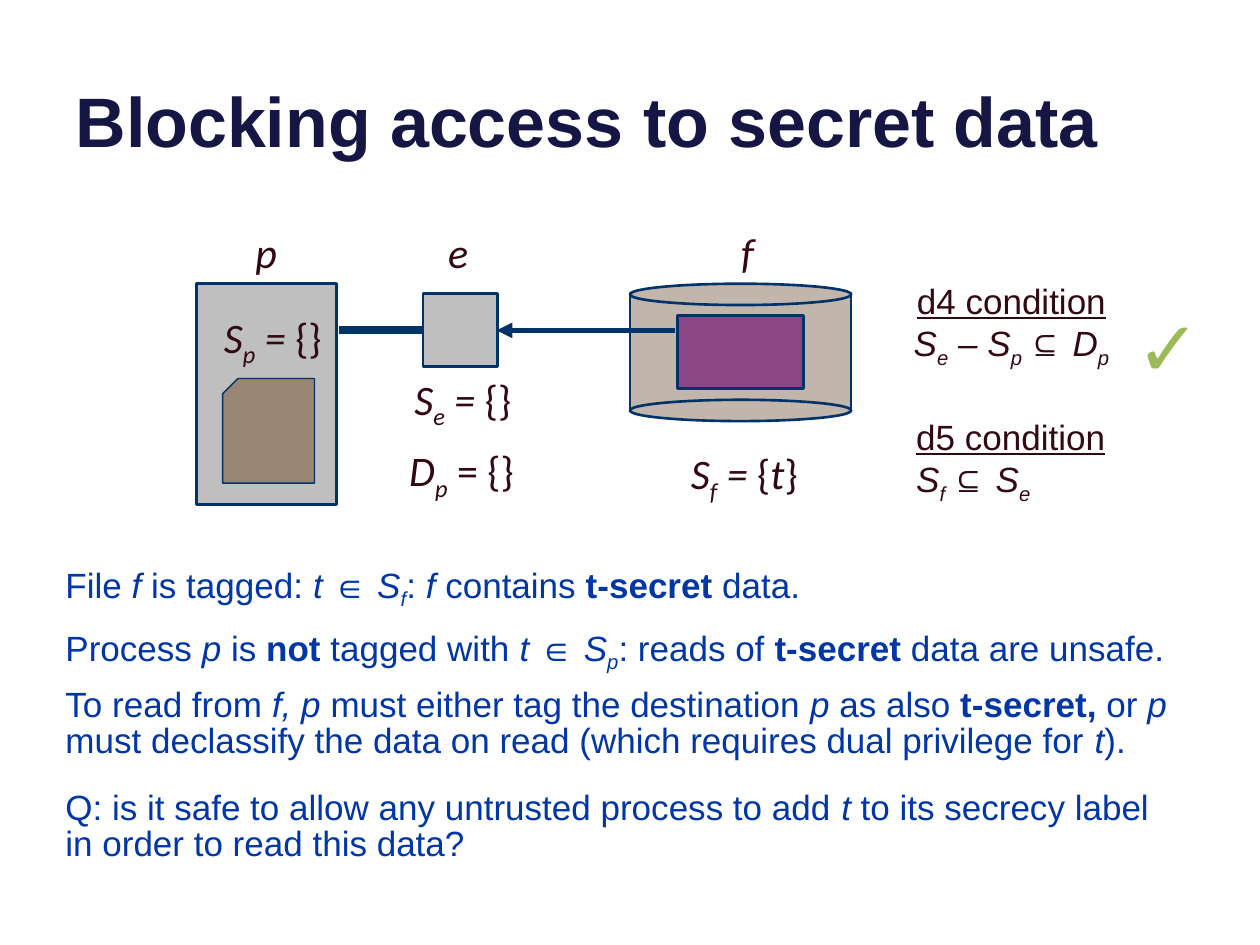
from lxml.etree import SubElement
from pptx import Presentation
from pptx.dml.color import RGBColor
from pptx.enum.shapes import MSO_CONNECTOR, MSO_SHAPE
from pptx.enum.text import MSO_ANCHOR, MSO_AUTO_SIZE, PP_ALIGN
from pptx.oxml.ns import qn
from pptx.util import Cm, Pt

TITLE_NAVY = RGBColor(0x16, 0x16, 0x45)
OUTLINE = RGBColor(0x00, 0x33, 0x67)
GREY = RGBColor(0xBF, 0xBF, 0xBF)
BROWN = RGBColor(0x99, 0x86, 0x74)
BEIGE = RGBColor(0xC2, 0xB6, 0xAC)
PURPLE = RGBColor(0x8B, 0x47, 0x85)
MAROON = RGBColor(0x32, 0x09, 0x11)
BLUE = RGBColor(0x00, 0x36, 0xA6)
GREEN = RGBColor(0x9B, 0xBB, 0x59)

LABEL_FORMAT = {"name": "Calibri", "size": Pt(24), "color": MAROON}
CONDITION_FORMAT = {"name": "Arial", "size": Pt(20), "color": MAROON}
NOTE_FORMAT = {"name": "Arial", "size": Pt(20), "color": BLUE}
CHECK_FORMAT = {"name": "Arial", "size": Pt(44), "color": GREEN}
TITLE_FORMAT = {"name": "Arial", "size": Pt(40), "color": TITLE_NAVY}

PROCESS_LABEL = [("S", "i"), ("p", "is"), (" = ", "i"), ("{}", "")]
ENDPOINT_LABEL = [("S", "i"), ("e", "is"), (" = ", "i"), ("{}", "")]
PRIVILEGE_LABEL = [("D", "i"), ("p", "is"), (" = {}", "")]
FILE_LABEL = [("S", "i"), ("f", "is"), (" = ", "i"), ("{", ""), ("t", "i"), ("}", "")]

D4_CONDITION = [
    [("d4 condition", "u")],
    [("S", "i"), ("e", "is"), (" – S", "i"), ("p ", "is"), ("⊆ ", ""), ("D", "i"), ("p", "is")],
]
D5_CONDITION = [
    [("d5 condition", "u")],
    [("S", "i"), ("f ", "is"), ("⊆", ""), (" S", "i"), ("e", "is")],
]

NOTES = [
    (0, 1.02, [("File ", ""), ("f ", "i"), ("is tagged: ", ""), ("t ∈ S", "i"), ("f", "is"),
               (": ", ""), ("f", "i"), (" contains ", ""), ("t-secret", "b"), (" data.", "")]),
    (1.27, 1.02, [("Process ", ""), ("p", "i"), (" is ", ""), ("not", "b"), (" tagged with ", ""),
                  ("t ∈ S", "i"), ("p", "is"), (": reads of ", ""), ("t-secret ", "b"),
                  ("data are unsafe.", "")]),
    (2.49, 1.73, [("To read from ", ""), ("f, p ", "i"),
                  ("must either tag the destination ", ""), ("p ", "i"), ("as also ", ""),
                  ("t-secret, ", "b"), ("or ", ""), ("p", "i"),
                  (" must declassify the data on read (which requires dual privilege for ", ""),
                  ("t", "i"), (").", "")]),
    (4.57, 1.73, [("Q: is it safe to allow any untrusted process to add ", ""), ("t", "i"),
                  (" to its secrecy label in order to read this data?", "")]),
]


def format_font(font, values):
    """Apply a dict of format values to a font."""
    for name, value in values.items():
        if name == "color":
            font.color.rgb = value
        else:
            setattr(font, name, value)


def add_runs(paragraph, runs, values):
    """Write runs whose style letters mean bold, italic, underline and subscript."""
    for text, style in runs:
        run = paragraph.add_run()
        run.text = text
        format_font(run.font, values)
        for letter, name in {"b": "bold", "i": "italic", "u": "underline"}.items():
            if letter in style:
                setattr(run.font, name, True)
        if "s" in style:
            run.font._element.set("baseline", "-25000")


def add_text(slide, box, paragraphs, values, wrap=True, **paragraph_format):
    """Place a text box holding the given paragraphs of runs."""
    frame = slide.shapes.add_textbox(*map(Cm, box)).text_frame
    frame.word_wrap = wrap
    frame.auto_size = MSO_AUTO_SIZE.SHAPE_TO_FIT_TEXT
    for index, runs in enumerate(paragraphs):
        paragraph = frame.add_paragraph() if index else frame.paragraphs[0]
        for name, value in paragraph_format.items():
            setattr(paragraph, name, value)
        add_runs(paragraph, runs, values)


def add_block(slide, kind, box, fill, line_width=1.5):
    """Place a filled, outlined preset shape."""
    shape = slide.shapes.add_shape(kind, *map(Cm, box))
    shape.shadow.inherit = False
    shape.fill.solid()
    shape.fill.fore_color.rgb = fill
    shape.line.color.rgb = OUTLINE
    shape.line.width = Pt(line_width)
    return shape


def add_link(slide, start, end, width, arrow=False):
    """Place a straight connector, with an optional arrowhead at its start."""
    link = slide.shapes.add_connector(MSO_CONNECTOR.STRAIGHT, *map(Cm, (*start, *end)))
    link.line.color.rgb = OUTLINE
    link.line.width = Pt(width)
    if arrow:
        SubElement(link.line._get_or_add_ln(), qn("a:headEnd"), type="triangle")
    SubElement(link._element.spPr, qn("a:effectLst"))


def build_title(slide, box):
    """Move and format the title placeholder."""
    title = slide.shapes.title
    title.left, title.top, title.width, title.height = map(Cm, box)
    title.text_frame.vertical_anchor = MSO_ANCHOR.BOTTOM
    paragraph = title.text_frame.paragraphs[0]
    paragraph.alignment = PP_ALIGN.LEFT
    add_runs(paragraph, [("Blocking access to secret data", "b")], TITLE_FORMAT)


def build_diagram(slide, box):
    """Draw the process, its endpoint and the tagged file."""
    left, top = box[:2]
    link_y = top + 2.21

    def place(x, y, width, height):
        return left + x, top + y, width, height

    add_block(slide, MSO_SHAPE.RECTANGLE, place(0, 1.27, 2.82, 4.45), GREY)
    code = add_block(slide, MSO_SHAPE.SNIP_1_RECTANGLE, place(0.53, 3.18, 1.85, 2.11), BROWN, 0.75)
    code._element.spPr.find(qn("a:xfrm")).set("flipH", "1")

    add_block(slide, MSO_SHAPE.RECTANGLE, place(8.74, 1.47, 4.46, 2.34), BEIGE)
    for rim_y in (1.27, 3.61):
        add_block(slide, MSO_SHAPE.OVAL, place(8.74, rim_y, 4.46, 0.43), BEIGE)
    add_block(slide, MSO_SHAPE.RECTANGLE, place(9.7, 1.91, 2.54, 1.47), PURPLE)

    add_link(slide, (left + 4.57, link_y), (left + 2.87, link_y), 4.5)
    add_block(slide, MSO_SHAPE.RECTANGLE, place(4.57, 1.47, 1.5, 1.47), GREY)
    add_link(slide, (left + 6.05, link_y), (left + 9.65, link_y), 3, arrow=True)

    labels = [
        (0.91, 0, 0.99, [("p", "i")]),
        (4.78, 0, 0.99, [("e", "i")]),
        (10.64, 0, 0.94, [("f", "i")]),
        (0.23, 1.7, 2.62, PROCESS_LABEL),
        (4.06, 2.95, 2.62, ENDPOINT_LABEL),
        (3.96, 4.39, 2.77, PRIVILEGE_LABEL),
        (9.65, 4.45, 2.79, FILE_LABEL),
    ]
    for x, y, width, runs in labels:
        add_text(slide, place(x, y, width, 1.27), [runs], LABEL_FORMAT,
                 wrap=False, alignment=PP_ALIGN.CENTER)


def build_conditions(slide, box):
    """Write the two flow conditions and the check mark."""
    left, top = box[:2]
    add_text(slide, (left, top, 4.5, 1.96), D4_CONDITION, CONDITION_FORMAT,
             alignment=PP_ALIGN.CENTER)
    add_text(slide, (left + 0.08, top + 2.74, 4.5, 1.96), D5_CONDITION, CONDITION_FORMAT)
    add_text(slide, (left + 4.52, top + 0.41, 1.7, 2.13), [[("✓", "")]], CHECK_FORMAT, wrap=False)


def build_notes(slide, box):
    """Write the explanatory statements below the diagram."""
    left, top, width = box[:3]
    for y, height, runs in NOTES:
        add_text(slide, (left, top + y, width, height), [runs], NOTE_FORMAT, line_spacing=0.85)


def main():
    """Build and save the presentation."""
    presentation = Presentation()
    presentation.slide_width, presentation.slide_height = Cm(25.4), Cm(19.05)
    slide = presentation.slides.add_slide(presentation.slide_layouts[5])
    build_title(slide, (1.27, -0.94, 22.86, 4.32))
    build_diagram(slide, (3.96, 4.45, 13.2, 5.72))
    build_conditions(slide, (18.14, 5.51, 6.22, 4.7))
    build_notes(slide, (1.07, 11.28, 23.06, 6.3))
    presentation.save("out.pptx")


if __name__ == "__main__":
    main()
